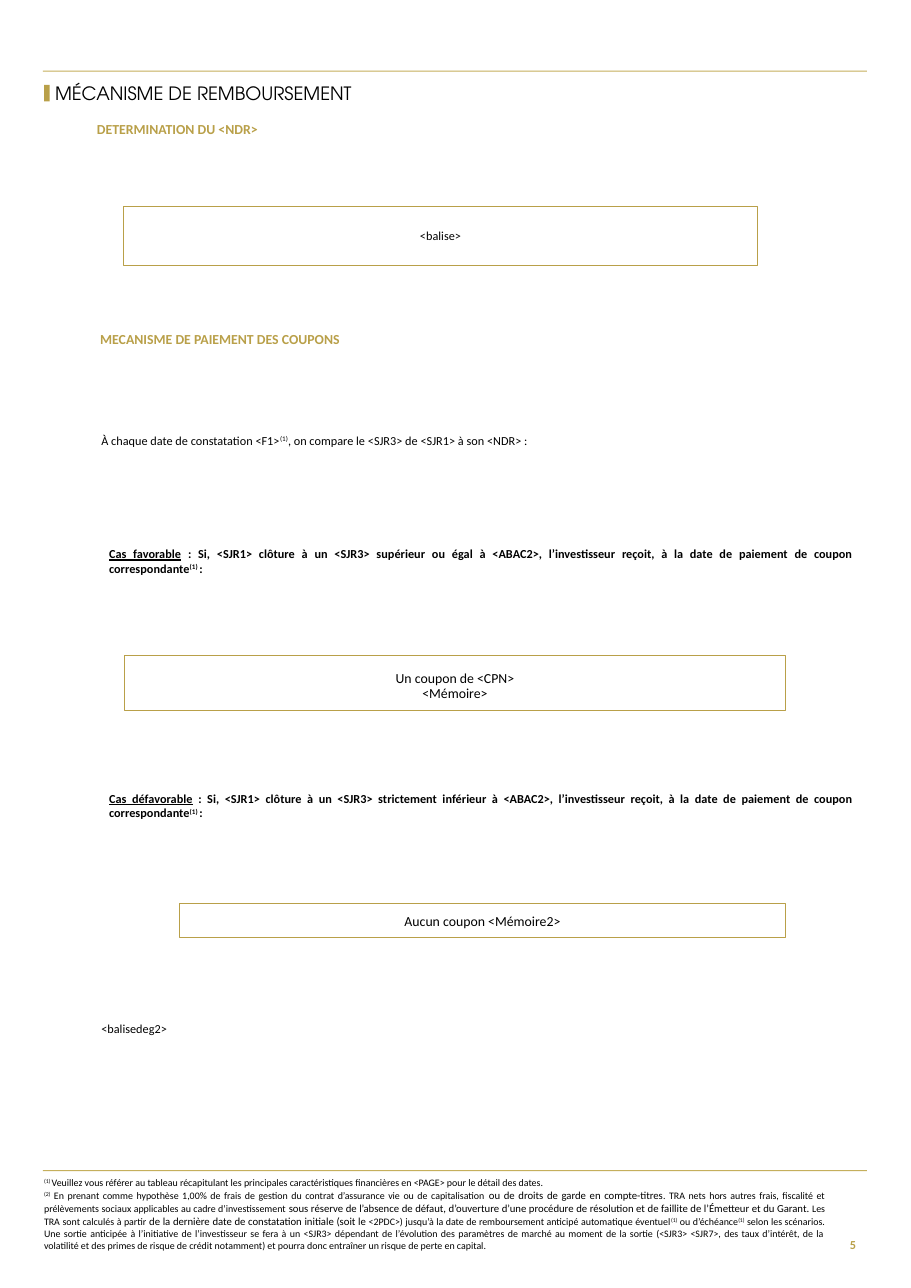
from dataclasses import dataclass

import pptx
import pptx.dml.color
import pptx.enum.shapes
import pptx.enum.text
import pptx.slide
import pptx.util

ALIGN = pptx.enum.text.PP_ALIGN
ANCHOR = pptx.enum.text.MSO_ANCHOR

GOLD = pptx.dml.color.RGBColor(0xB9, 0xA0, 0x49)
RULE_GOLD = pptx.dml.color.RGBColor(0xC5, 0xAF, 0x5C)
BLACK = pptx.dml.color.RGBColor(0, 0, 0)
WHITE = pptx.dml.color.RGBColor(255, 255, 255)

COLUMNS, ROWS = 827, 1169
SLIDE_WIDTH = pptx.util.Inches(8.27)
SLIDE_HEIGHT = pptx.util.Inches(11.69)


@dataclass(frozen=True)
class Cell:
    col: int
    row: int
    cols: int
    rows: int


@dataclass(frozen=True)
class Run:
    text: str
    size: float | None = None
    sup: bool = False
    underline: bool = False


@dataclass(frozen=True)
class Text:
    cell: Cell
    paragraphs: list[list[Run]]
    size: float = 8
    color: pptx.dml.color.RGBColor = BLACK
    bold: bool = False
    font: str = "Calibri"
    align: ALIGN = ALIGN.JUSTIFY
    anchor: ANCHOR = ANCHOR.TOP
    spacing: float = 1.0
    insets: tuple[int, int, int, int] = (0, 0, 0, 0)


@dataclass(frozen=True)
class Frame:
    text: Text
    line_width: float = 0.75
    fill: pptx.dml.color.RGBColor | None = WHITE


@dataclass(frozen=True)
class Bar:
    cell: Cell
    color: pptx.dml.color.RGBColor


def x(cols: int) -> int:
    return round(SLIDE_WIDTH * cols / COLUMNS)


def y(rows: int) -> int:
    return round(SLIDE_HEIGHT * rows / ROWS)


def place(cell: Cell) -> tuple[int, int, int, int]:
    return x(cell.col), y(cell.row), x(cell.cols), y(cell.rows)


def write(tf: pptx.text.text.TextFrame, text: Text) -> None:
    tf.word_wrap = True
    tf.vertical_anchor = text.anchor
    left, top, right, bottom = text.insets
    tf.margin_left, tf.margin_right = x(left), x(right)
    tf.margin_top, tf.margin_bottom = y(top), y(bottom)
    for i, runs in enumerate(text.paragraphs):
        p = tf.add_paragraph() if i else tf.paragraphs[0]
        p.alignment = text.align
        p.line_spacing = text.spacing
        for run in runs:
            r = p.add_run()
            r.text = run.text
            r.font.name = text.font
            r.font.size = pptx.util.Pt(run.size or text.size)
            r.font.bold = text.bold
            r.font.underline = run.underline
            r.font.color.rgb = text.color
            if run.sup:
                r._r.get_or_add_rPr().set("baseline", "30000")


def add_text(s: pptx.slide.Slide, text: Text) -> None:
    write(s.shapes.add_textbox(*place(text.cell)).text_frame, text)


def add_rectangle(s: pptx.slide.Slide, cell: Cell) -> pptx.shapes.autoshape.Shape:
    sp = s.shapes.add_shape(pptx.enum.shapes.MSO_SHAPE.RECTANGLE, *place(cell))
    sp.shadow.inherit = False
    return sp


def add_bar(s: pptx.slide.Slide, bar: Bar) -> None:
    sp = add_rectangle(s, bar.cell)
    sp.fill.solid()
    sp.fill.fore_color.rgb = bar.color
    sp.line.fill.background()


def add_frame(s: pptx.slide.Slide, frame: Frame) -> None:
    sp = add_rectangle(s, frame.text.cell)
    if frame.fill is None:
        sp.fill.background()
    else:
        sp.fill.solid()
        sp.fill.fore_color.rgb = frame.fill
    sp.line.color.rgb = GOLD
    sp.line.width = pptx.util.Pt(frame.line_width)
    write(sp.text_frame, frame.text)


def heading(cell: Cell, title: str) -> Text:
    return Text(cell, [[Run(title)]], size=9, color=GOLD, bold=True, align=ALIGN.LEFT)


def case(row: int, name: str, condition: str) -> Text:
    rule = (f" : Si, <SJR1> clôture à un <SJR3> {condition} à <ABAC2>, l’investisseur "
            "reçoit, à la date de paiement de coupon correspondante")
    runs = [Run(name, underline=True), Run(rule), Run("(1) ", sup=True), Run(": ")]
    return Text(Cell(99, row, 676, 27), [runs], bold=True)


def boxed(cell: Cell, lines: list[str], insets: tuple[int, int, int, int],
          size: float = 9, spacing: float = 1.0) -> Text:
    return Text(cell, [[Run(line)] for line in lines], size=size, align=ALIGN.CENTER,
                anchor=ANCHOR.MIDDLE, spacing=spacing, insets=insets)


BARS = [Bar(Cell(39, row, 748, 1), RULE_GOLD) for row in (64, 1062)]
BARS.append(Bar(Cell(40, 77, 5, 15), GOLD))

NOTES = [
    [Run("(1) ", sup=True),
     Run("Veuillez vous référer au tableau récapitulant les principales caractéristiques "
         "financières en <PAGE> pour le détail des dates. ")],
    [Run("(2)", sup=True),
     Run(" En prenant comme hypothèse 1,00% de frais de gestion du contrat d’assurance vie "
         "ou de capitalisation "),
     Run("ou de droits de garde en compte-titres", size=7),
     Run(". TRA nets hors autres frais, fiscalité et prélèvements sociaux applicables au "
         "cadre d’investissement "),
     Run("sous réserve de l’absence de défaut, d’ouverture d’une procédure de résolution "
         "et de faillite de l’Émetteur et du Garant. ", size=7),
     Run("Les TRA sont calculés à partir "),
     Run("de la dernière date de constatation initiale (soit le", size=7),
     Run(" <2PDC>) jusqu’à la date de remboursement anticipé automatique éventuel"),
     Run("(1)", sup=True),
     Run(" ou d’échéance"),
     Run("(1)", sup=True),
     Run(" selon les scénarios. Une sortie anticipée à l’initiative de l’investisseur se "
         "fera à un <SJR3> dépendant de l’évolution des paramètres de marché au moment de "
         "la sortie (<SJR3> <SJR7>, des taux d’intérêt, de la volatilité et des primes "
         "de risque de crédit notamment) et pourra donc entraîner un risque de perte en "
         "capital.")],
]

TEXTS = [
    Text(Cell(50, 73, 421, 25), [[Run("MÉCANISME DE REMBOURSEMENT")]], size=12,
         font="TeX Gyre Adventor", align=ALIGN.LEFT, anchor=ANCHOR.MIDDLE, spacing=0.9),
    heading(Cell(88, 110, 297, 18), "DETERMINATION DU <NDR>"),
    heading(Cell(91, 300, 657, 17), "MECANISME DE PAIEMENT DES COUPONS"),
    Text(Cell(92, 393, 657, 13),
         [[Run("À chaque date de constatation <F1>"), Run("(1)", sup=True),
           Run(", on compare le <SJR3> de <SJR1> à son <NDR> :")]]),
    case(496, "Cas favorable", "supérieur ou égal"),
    case(718, "Cas défavorable", "strictement inférieur"),
    Text(Cell(92, 927, 676, 13), [[Run("<balisedeg2>")]]),
    Text(Cell(40, 1068, 709, 68), NOTES, size=6.5),
    Text(Cell(748, 1109, 39, 42), [[Run("5")]], color=GOLD, bold=True,
         align=ALIGN.RIGHT, anchor=ANCHOR.MIDDLE, insets=(10, 5, 10, 5)),
]

FRAMES = [
    Frame(boxed(Cell(112, 187, 576, 54), ["<balise>"], (12, 20, 12, 20), size=8),
          line_width=0.5, fill=None),
    Frame(boxed(Cell(113, 595, 600, 50), ["Un coupon de <CPN>", "<Mémoire>"],
                (12, 15, 12, 8), spacing=0.9)),
    Frame(boxed(Cell(163, 820, 550, 31), ["Aucun coupon <Mémoire2>"], (12, 8, 12, 8))),
]


def main() -> None:
    prs = pptx.Presentation()
    prs.slide_width, prs.slide_height = SLIDE_WIDTH, SLIDE_HEIGHT
    s = prs.slides.add_slide(prs.slide_layouts[6])
    for bar in BARS:
        add_bar(s, bar)
    for text in TEXTS:
        add_text(s, text)
    for frame in FRAMES:
        add_frame(s, frame)
    prs.save("out.pptx")


if __name__ == "__main__":
    main()
